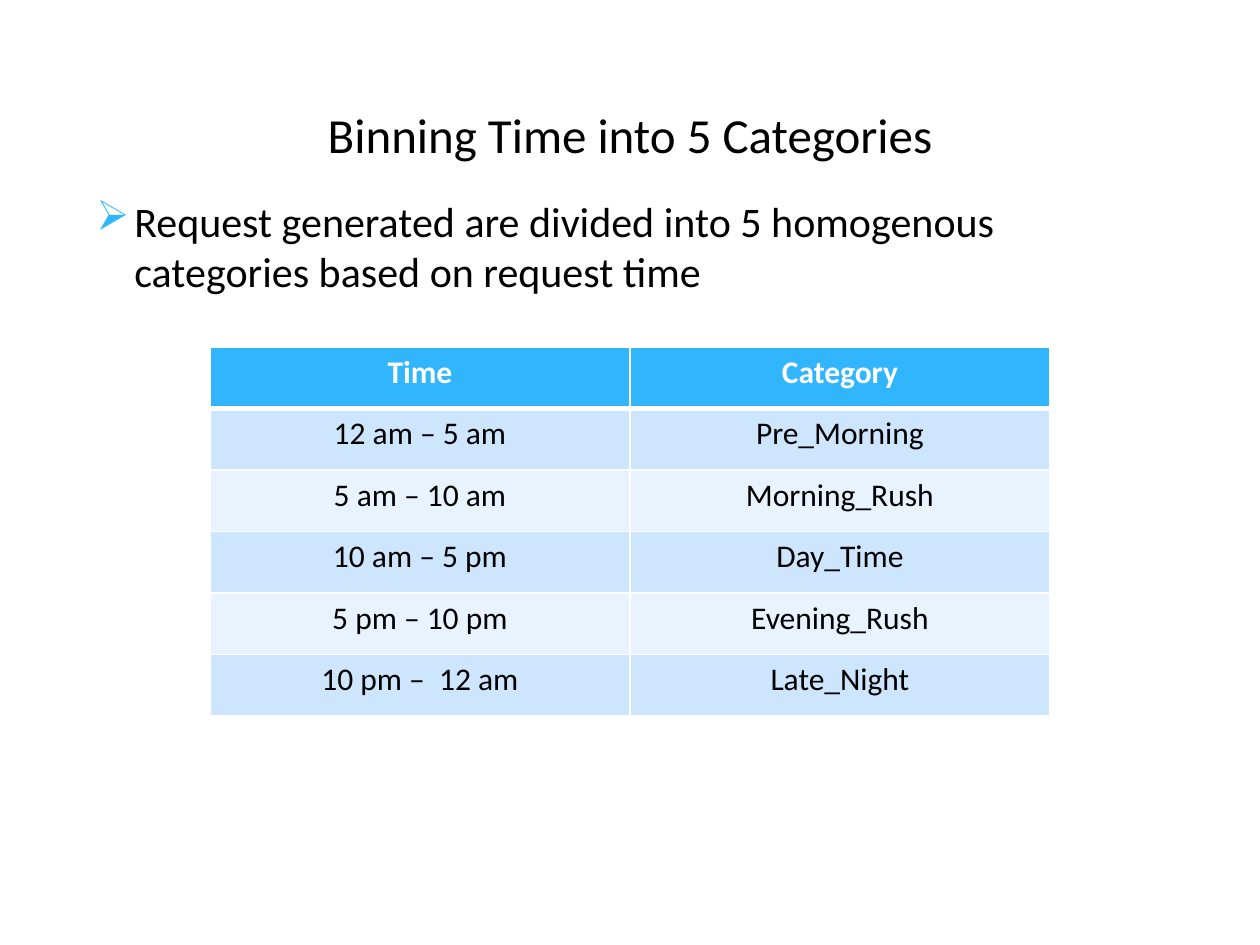
from dataclasses import dataclass
from typing import NamedTuple

import pptx
import pptx.dml.color
import pptx.enum.text
import pptx.oxml
import pptx.oxml.ns
import pptx.util

SCALE = 914400 / 126
ALIGN = pptx.enum.text.PP_ALIGN


@dataclass(frozen=True)
class Theme:
    font: str = "Calibri"
    ink: str = "000000"
    white: str = "FFFFFF"
    accent: str = "31B6FD"
    bands: tuple = ("CEE5FE", "E8F3FF")
    title: int = 28
    body: int = 24
    cell: int = 18
    thin: int = 1
    thick: int = 3


class Box(NamedTuple):
    left: int
    top: int
    width: int
    height: int


class Slot(NamedTuple):
    time: str
    label: str


THEME = Theme()
TITLE = Box(63, 47, 1134, 173)
BODY = Box(84, 189, 1092, 683)
GRID = Box(210, 347, 840, 369)
HEAD = Slot("Time", "Category")
SLOTS = [
    Slot("12 am – 5 am", "Pre_Morning"),
    Slot("5 am – 10 am", "Morning_Rush"),
    Slot("10 am – 5 pm", "Day_Time"),
    Slot("5 pm – 10 pm", "Evening_Rush"),
    Slot("10 pm –  12 am", "Late_Night"),
]


def px(count: int) -> int:
    return pptx.util.Emu(round(count * SCALE))


def rgb(code: str) -> pptx.dml.color.RGBColor:
    return pptx.dml.color.RGBColor.from_string(code)


def write(frame, text: str, size: int, align, color: str = THEME.ink,
          bold: bool = False) -> None:
    frame.text = text
    para = frame.paragraphs[0]
    para.alignment = align
    font = para.runs[0].font
    font.name = THEME.font
    font.size = pptx.util.Pt(size)
    font.bold = bold
    font.color.rgb = rgb(color)


def add_title(slide, box: Box, text: str) -> None:
    title = slide.shapes.title
    title.left, title.top, title.width, title.height = map(px, box)
    frame = title.text_frame
    frame.vertical_anchor = pptx.enum.text.MSO_ANCHOR.MIDDLE
    write(frame, text, THEME.title, ALIGN.CENTER)


def add_point(slide, box: Box, text: str) -> None:
    frame = slide.shapes.add_textbox(*map(px, box)).text_frame
    frame.word_wrap = True
    write(frame, text, THEME.body, ALIGN.LEFT)
    props = frame.paragraphs[0]._p.get_or_add_pPr()
    indent = px(38)
    props.set("marL", str(indent))
    props.set("indent", str(-indent))
    tint = pptx.oxml.ns.qn("a:buClr")
    tint = props.makeelement(tint, {})
    color = props.makeelement(pptx.oxml.ns.qn("a:srgbClr"), {"val": THEME.accent})
    tint.append(color)
    mark = props.makeelement(pptx.oxml.ns.qn("a:buChar"), {"char": "➢"})
    props.extend([tint, mark])


def add_edge(cell, side: str, width: int) -> None:
    space = pptx.oxml.ns.nsdecls("a")
    edge = pptx.oxml.parse_xml(
        f'<a:ln{side} {space} w="{pptx.util.Pt(width)}"><a:solidFill>'
        f'<a:srgbClr val="{THEME.white}"/></a:solidFill></a:ln{side}>')
    cell._tc.get_or_add_tcPr().append(edge)


def fill_cell(cell, text: str, row: int) -> None:
    head = row == 0
    write(cell.text_frame, text, THEME.cell, ALIGN.CENTER,
          THEME.white if head else THEME.ink, head)
    for side in "LRTB":
        rule = (row, side) in ((0, "B"), (1, "T"))
        add_edge(cell, side, THEME.thick if rule else THEME.thin)
    cell.fill.solid()
    band = THEME.bands[(row - 1) % len(THEME.bands)]
    cell.fill.fore_color.rgb = rgb(THEME.accent if head else band)


def add_grid(slide, box: Box, rows: list[Slot]) -> None:
    table = slide.shapes.add_table(len(rows), len(HEAD), *map(px, box)).table
    for row, slot in enumerate(rows):
        for col, text in enumerate(slot):
            fill_cell(table.cell(row, col), text, row)


def main() -> None:
    deck = pptx.Presentation()
    deck.slide_width, deck.slide_height = px(1260), px(945)
    slide = deck.slides.add_slide(deck.slide_layouts.get_by_name("Title Only"))
    add_title(slide, TITLE, "Binning Time into 5 Categories")
    add_point(slide, BODY, "Request generated are divided into 5 homogenous "
              "categories based on request time")
    add_grid(slide, GRID, [HEAD, *SLOTS])
    deck.save("out.pptx")


if __name__ == "__main__":
    main()
